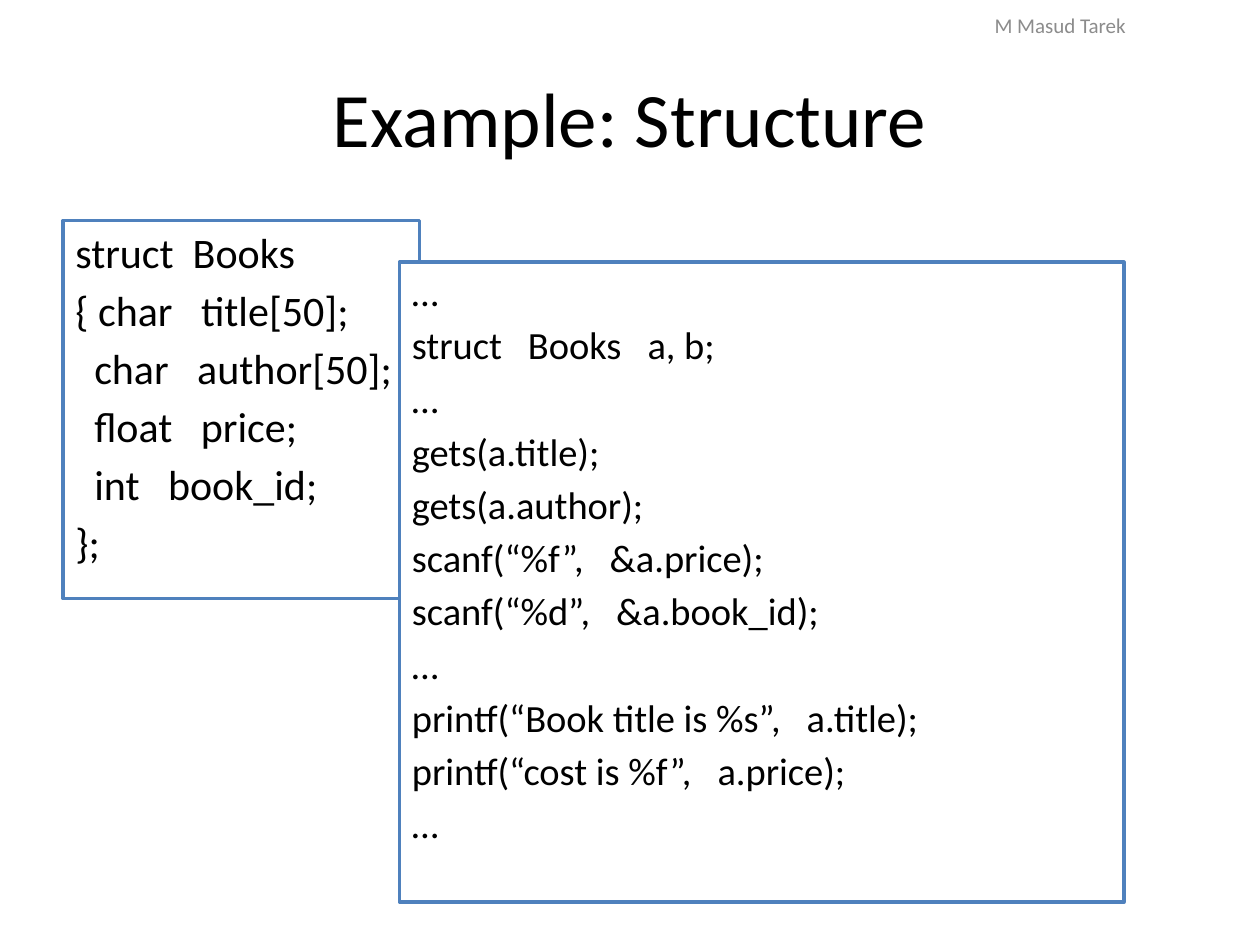
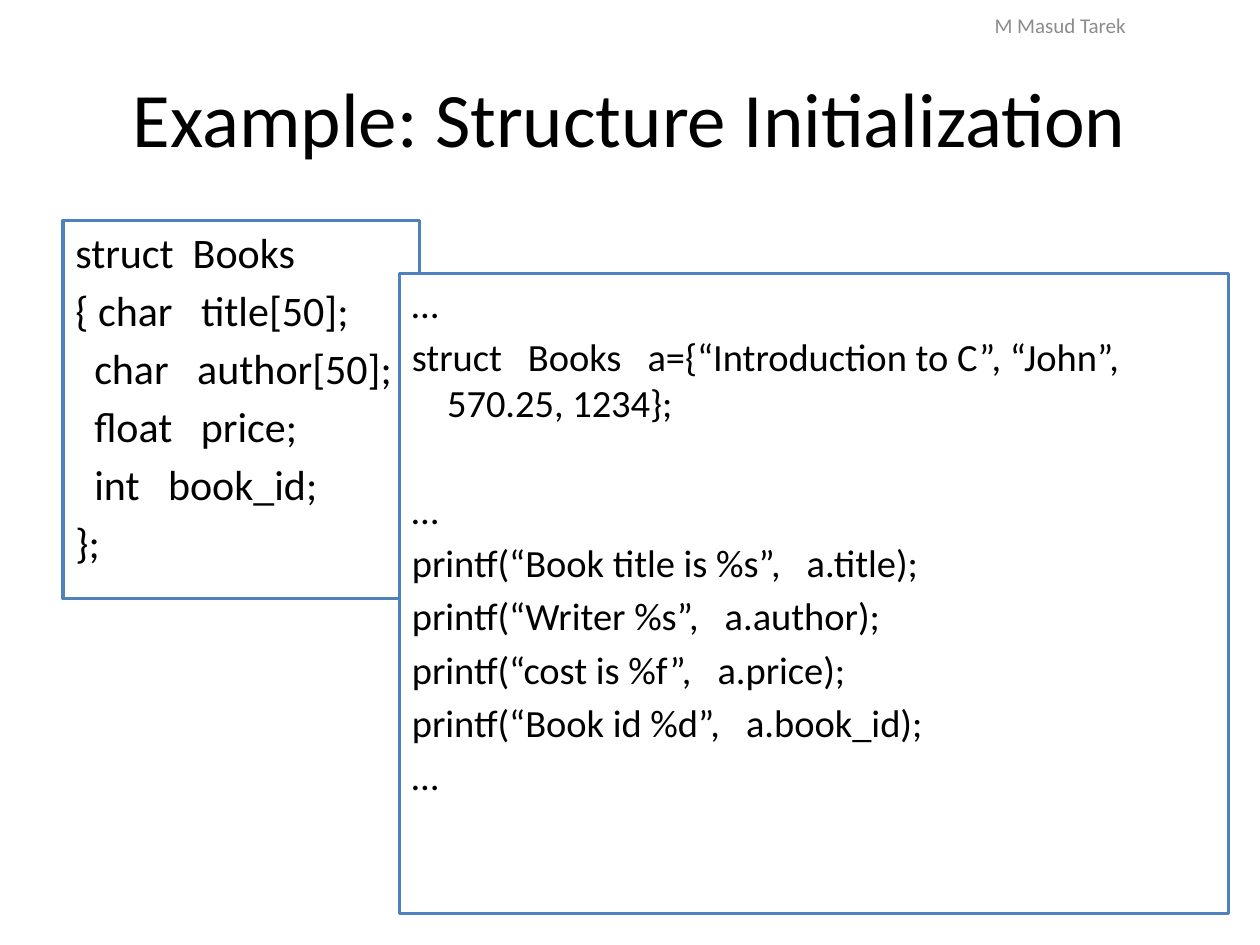
from dataclasses import dataclass

from pptx import Presentation
from pptx.dml.color import RGBColor
from pptx.enum.shapes import MSO_SHAPE
from pptx.enum.text import MSO_ANCHOR, PP_ALIGN
from pptx.util import Inches, Pt

COLORS = {"ink": "000000", "paper": "FFFFFF", "edge": "4F81BD", "muted": "8C8C8C"}
FONT = "Calibri"
GAP = 0.18  # space before a code line, as a share of its size
PITCH = 1.4  # one whole line with its gap, as a share of its size


@dataclass
class Line:
    text: str
    left: float = 0  # left margin, inches
    hang: float = 0  # hanging indent of wrapped lines, inches
    skip: int = 0  # empty lines above


@dataclass
class Panel:
    left: float
    top: float
    width: float
    height: float
    size: int
    lines: list[Line]


def color(name: str) -> RGBColor:
    return RGBColor.from_string(COLORS[name])


def write(shape, lines: list[Line], *, size: int, ink: str = "ink",
          align=PP_ALIGN.LEFT, anchor=MSO_ANCHOR.TOP, gap: float = 0) -> None:
    """Fill a shape with one paragraph per line."""
    frame = shape.text_frame
    frame.word_wrap = True
    frame.vertical_anchor = anchor
    for i, line in enumerate(lines):
        para = frame.add_paragraph() if i else frame.paragraphs[0]
        para.alignment = align
        para.space_before = Pt(round(size * (gap + PITCH * line.skip), 1))
        if line.left or line.hang:
            props = para._p.get_or_add_pPr()
            props.set("marL", str(Inches(line.left + line.hang)))
            props.set("indent", str(-Inches(line.hang)))
        run = para.add_run()
        run.text = line.text
        run.font.name = FONT
        run.font.size = Pt(size)
        run.font.color.rgb = color(ink)


def label(slide, text: str, left: float, top: float, width: float,
          height: float, **style) -> None:
    box = slide.shapes.add_textbox(Inches(left), Inches(top), Inches(width), Inches(height))
    write(box, [Line(text)], align=PP_ALIGN.CENTER, anchor=MSO_ANCHOR.MIDDLE, **style)


def draw(slide, panel: Panel) -> None:
    """Draw a framed block of code."""
    box = slide.shapes.add_shape(
        MSO_SHAPE.RECTANGLE, Inches(panel.left), Inches(panel.top),
        Inches(panel.width), Inches(panel.height))
    box.shadow.inherit = False
    box.fill.solid()
    box.fill.fore_color.rgb = color("paper")
    box.line.color.rgb = color("edge")
    box.line.width = Pt(2)
    write(box, panel.lines, size=panel.size, gap=GAP)


def build(deck, title: str, code: Panel) -> None:
    """Add a slide: title, struct definition, code that uses it, author."""
    slide = deck.slides.add_slide(deck.slide_layouts[6])
    label(slide, title, 0.5, 0.3, 9, 1.25, size=44)
    draw(slide, STRUCT)
    draw(slide, code)
    label(slide, "M Masud Tarek", 6.83, 0, 3.17, 0.4, size=12, ink="muted")


# Struct definition, the same on both slides
STRUCT = Panel(0.5, 1.75, 2.83, 3, 24, [
    Line("struct  Books"),
    Line("{ char   title[50];"),
    *[Line(field, left=0.15) for field in
      ("char   author[50];", "float   price;", "int   book_id;")],
    Line("};"),
])

# Reading and printing members
USAGE = Panel(3.17, 2.08, 5.75, 5.08, 22, [Line(text) for text in (
    "…",
    "struct   Books   a, b;",
    "…",
    "gets(a.title);",
    "gets(a.author);",
    "scanf(“%f”,   &a.price);",
    "scanf(“%d”,   &a.book_id);",
    "…",
    "printf(“Book title is %s”,   a.title);",
    "printf(“cost is %f”,   a.price);",
    "…",
)])

# Setting all members at once
INIT = Panel(3.17, 2.17, 6.58, 5.08, 22, [
    Line("…"),
    Line("struct   Books   a={“Introduction to C”, “John”, 570.25, 1234};", hang=0.28),
    Line("…", skip=1),
    *[Line(text) for text in (
        "printf(“Book title is %s”,   a.title);",
        "printf(“Writer %s”,   a.author);",
        "printf(“cost is %f”,   a.price);",
        "printf(“Book id %d”,   a.book_id);",
        "…",
    )],
])

deck = Presentation()
deck.slide_width, deck.slide_height = Inches(10), Inches(7.5)
build(deck, "Example: Structure", USAGE)
build(deck, "Example: Structure Initialization", INIT)
deck.save("out.pptx")
